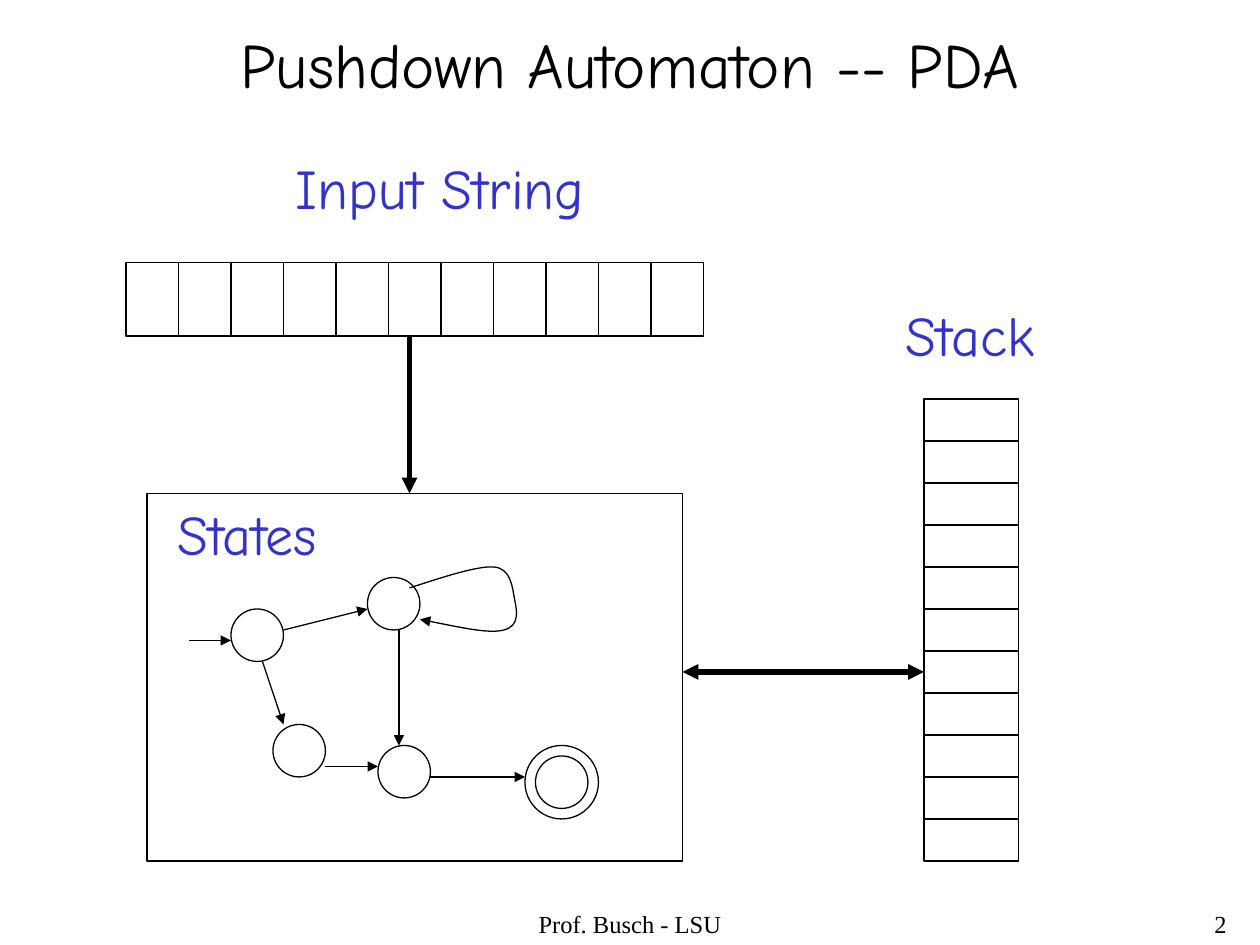
import pptx
import pptx.dml.color
import pptx.enum.shapes
import pptx.enum.text
import pptx.oxml
import pptx.oxml.ns
import pptx.util

PX = 7620  # EMU per px, 120 px to the inch
BLACK = pptx.dml.color.RGBColor(0x00, 0x00, 0x00)
BLUE = pptx.dml.color.RGBColor(0x33, 0x33, 0xCC)
HEADING_FONT = "Comic Neue"
FOOTER_FONT = "Times New Roman"
SHAPE = pptx.enum.shapes.MSO_SHAPE
ALIGN = pptx.enum.text.PP_ALIGN
qn = pptx.oxml.ns.qn


def emu(*lengths):
    return [pptx.util.Emu(length * PX) for length in lengths]


class Diagram:
    """Holds the slide and the thin and thick line style of the drawing."""

    thin, thick = 0.75, 3

    def __init__(self, slide):
        self.slide = slide
        self.shapes = slide.shapes

    def _stroke(self, element, width, ends=()):
        element.line.color.rgb = BLACK
        element.line.width = pptx.util.Pt(width)
        ln = element.line._ln
        for end in ends:
            ln.append(pptx.oxml.parse_xml(
                f'<a:{end} {pptx.oxml.ns.nsdecls("a")} type="triangle"/>'))

    def outline(self, preset, left, top, width, height):
        shape = self.shapes.add_shape(preset, *emu(left, top, width, height))
        shape.shadow.inherit = False
        shape.fill.background()
        self._stroke(shape, self.thin)

    def line(self, start, stop, width=thin, ends=()):
        connector = self.shapes.add_connector(
            pptx.enum.shapes.MSO_CONNECTOR.STRAIGHT, *emu(*start, *stop))
        self._stroke(connector, width, ends)
        connector._element.spPr.append(pptx.oxml.parse_xml(
            f'<a:effectLst {pptx.oxml.ns.nsdecls("a")}/>'))

    def arrow(self, start, stop, width=thin, both=False):
        ends = ("headEnd", "tailEnd") if both else ("tailEnd",)
        self.line(start, stop, width, ends)

    def curved_arrow(self, start, controls):
        """Draw cubic curves; each takes three points of controls."""
        builder = self.shapes.build_freeform(*start, scale=PX)
        builder.add_line_segments(controls, close=False)
        shape = builder.convert_to_shape()
        shape.shadow.inherit = False
        shape.fill.background()
        self._stroke(shape, self.thin, ("tailEnd",))
        segments = list(shape._element.iter(qn("a:lnTo")))
        for i in range(0, len(segments), 3):
            curve, *others = segments[i:i + 3]
            bezier = pptx.oxml.parse_xml(
                f'<a:cubicBezTo {pptx.oxml.ns.nsdecls("a")}/>')
            curve.addprevious(bezier)
            for segment in (curve, *others):
                bezier.append(segment[0])
                segment.getparent().remove(segment)

    def text(self, words, box, size, font, color=BLACK, align=ALIGN.LEFT,
             middle=False, label=False):
        """Add a line of text; a label does not wrap and fits its words."""
        frame = self.shapes.add_textbox(*emu(*box)).text_frame
        frame.word_wrap = not label
        if label:
            frame.auto_size = pptx.enum.text.MSO_AUTO_SIZE.SHAPE_TO_FIT_TEXT
        if middle:
            frame.vertical_anchor = pptx.enum.text.MSO_ANCHOR.MIDDLE
        paragraph = frame.paragraphs[0]
        paragraph.alignment = align
        if label:
            paragraph.space_before = pptx.util.Pt(8)
        run = paragraph.add_run()
        run.text = words
        run.font.size = pptx.util.Pt(size)
        run.font.name = font
        run.font.color.rgb = color

    def label(self, words, box):
        self.text(words, box, 32, HEADING_FONT, BLUE, label=True)

    def tape(self, left, top, width, height, cells, vertical=False):
        """Draw a rectangle cut into equal cells."""
        self.outline(SHAPE.RECTANGLE, left, top, width, height)
        for i in range(1, cells):
            if vertical:
                y = top + i * height // cells
                self.line((left, y), (left + width, y))
            else:
                x = left + i * width // cells
                self.line((x, top), (x, top + height))


def main():
    deck = pptx.Presentation()
    deck.slide_width, deck.slide_height = emu(1200, 900)
    pda = Diagram(deck.slides.add_slide(deck.slide_layouts[6]))

    pda.text("Prof. Busch - LSU", (410, 860, 380, 40), 14, FOOTER_FONT,
             align=ALIGN.CENTER)
    pda.text("2", (930, 860, 250, 40), 14, FOOTER_FONT, align=ALIGN.RIGHT)
    pda.text("Pushdown Automaton -- PDA", (20, 20, 1160, 80), 36,
             HEADING_FONT, align=ALIGN.CENTER, middle=True)

    # Control unit with its states
    pda.outline(SHAPE.RECTANGLE, 140, 470, 510, 350)
    state_size, accept_ring = 50, 70
    for left, top in [(220, 580), (350, 550), (260, 690), (360, 710),
                      (510, 720)]:
        pda.outline(SHAPE.OVAL, left, top, state_size, state_size)
    pda.outline(SHAPE.OVAL, 500, 710, accept_ring, accept_ring)

    transitions = [
        ((180, 610), (220, 610)),
        ((270, 600), (350, 580)),
        ((250, 630), (270, 690)),
        ((380, 600), (380, 710)),
        ((310, 730), (360, 730)),
        ((410, 740), (500, 740)),
    ]
    for start, stop in transitions:
        pda.arrow(start, stop)
    pda.curved_arrow((390, 560), [
        (421, 550), (454, 539), (470, 540),
        (487, 541), (488, 560), (490, 570),
        (492, 580), (496, 596), (480, 600),
        (466, 604), (432, 596), (400, 590),
    ])

    # Input tape and stack, each joined to the control unit
    pda.tape(120, 250, 550, 70, cells=11)
    pda.tape(880, 380, 90, 440, cells=11, vertical=True)
    pda.arrow((390, 320), (390, 470), pda.thick)
    pda.arrow((880, 640), (650, 640), pda.thick, both=True)

    pda.label("Input String", (270, 140, 299, 77))
    pda.label("Stack", (851, 280, 148, 77))
    pda.label("States", (157, 470, 161, 77))

    deck.save("out.pptx")


if __name__ == "__main__":
    main()
